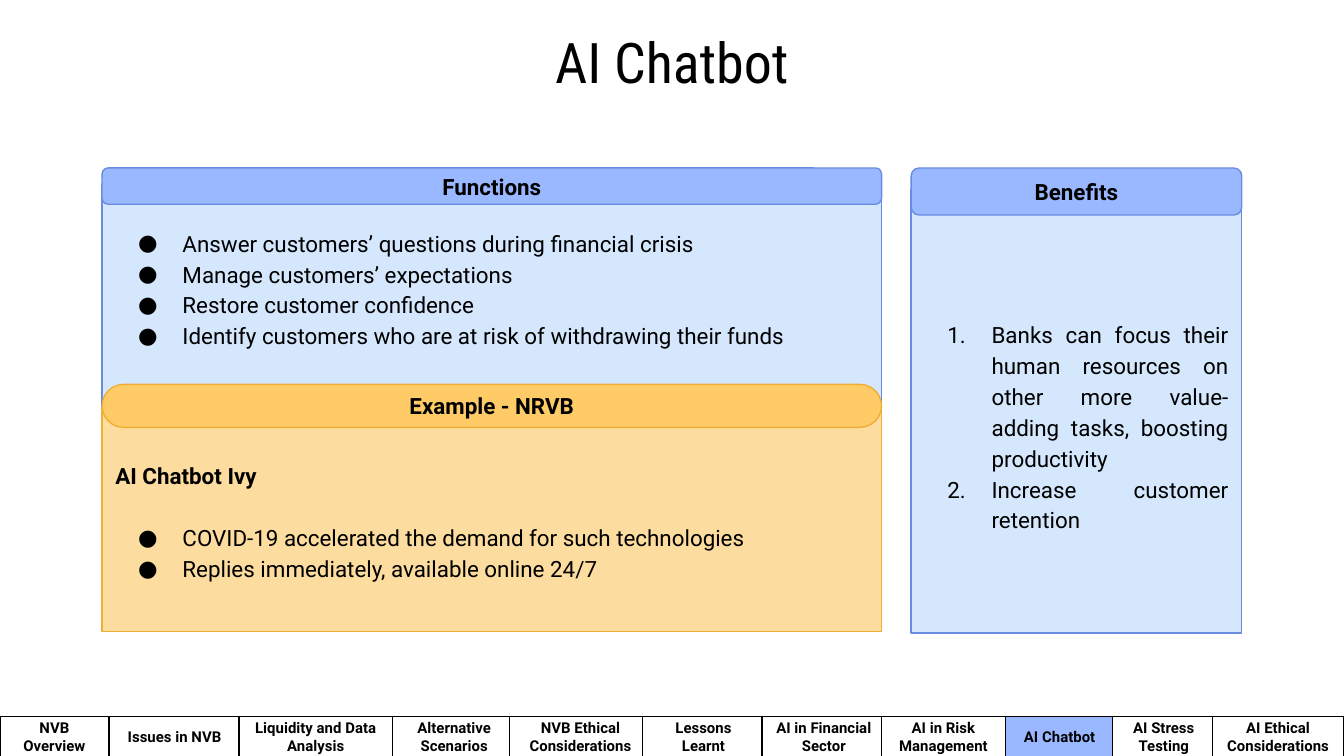
import pptx
import pptx.dml.color
import pptx.enum.shapes
import pptx.enum.text
import pptx.oxml.ns
import pptx.util
from lxml import etree

Inches = pptx.util.Inches
RGBColor = pptx.dml.color.RGBColor
Align = pptx.enum.text.PP_ALIGN
Anchor = pptx.enum.text.MSO_ANCHOR
Shape = pptx.enum.shapes.MSO_SHAPE

BLACK = RGBColor(0x00, 0x00, 0x00)
WHITE = RGBColor(0xFF, 0xFF, 0xFF)
BLUE = RGBColor(0x9A, 0xB8, 0xFF)
PALE_BLUE = RGBColor(0xD5, 0xE7, 0xFD)
BLUE_LINE = RGBColor(0x69, 0x8C, 0xE0)
AMBER = RGBColor(0xFF, 0xCB, 0x67)
PALE_AMBER = RGBColor(0xFC, 0xDC, 0x9F)
AMBER_LINE = RGBColor(0xEF, 0xAF, 0x34)

TITLE = "AI Chatbot"
FUNCTIONS = [
    "Answer customers’ questions during financial crisis",
    "Manage customers’ expectations",
    "Restore customer confidence",
    "Identify customers who are at risk of withdrawing their funds",
]
BENEFITS = [
    "Banks can focus their human resources on other more value-adding tasks, "
    "boosting productivity",
    "Increase customer retention",
]
EXAMPLE_HEADING = "AI Chatbot Ivy"
EXAMPLE = [
    "COVID-19 accelerated the demand for such technologies",
    "Replies immediately, available online 24/7",
]
TABS = [
    ("NVB Overview", 0, 0.81),
    ("Issues in NVB", 0.81, 0.98),
    ("Liquidity and Data Analysis", 1.78, 1.14),
    ("Alternative Scenarios", 2.92, 0.92),
    ("NVB Ethical Considerations", 3.79, 1.06),
    ("Lessons Learnt", 4.78, 0.91),
    ("AI in Financial Sector", 5.67, 0.92),
    ("AI in Risk Management", 6.56, 0.92),
    ("AI Chatbot", 7.48, 0.81),
    ("AI Stress Testing", 8.28, 0.76),
    ("AI Ethical Considerations", 9.02, 0.98),
]
TAB_TOP, TAB_HEIGHT = 5.33, 0.3
LEFT_COLUMN = (0.76, 5.8)
RIGHT_COLUMN = (6.78, 2.46)
HEADER_TOP = 1.25
INSET = 0.1
LIST_TOP_INSET = 0.31
HEADING_GAP = 0.23
BULLET = ("buChar", "char", "●")
NUMBER = ("buAutoNum", "type", "arabicPeriod")


def set_frame(frame, anchor=Anchor.MIDDLE, top_inset=INSET):
    frame.word_wrap = True
    frame.auto_size = pptx.enum.text.MSO_AUTO_SIZE.NONE
    frame.vertical_anchor = anchor
    frame.margin_left = frame.margin_right = frame.margin_bottom = Inches(INSET)
    frame.margin_top = Inches(top_inset)


def format_paragraph(paragraph, size, bold=False, align=Align.CENTER, font="Roboto"):
    paragraph.alignment = align
    for run in paragraph.runs:
        run.font.name = font
        run.font.size = pptx.util.Pt(size)
        run.font.bold = bold
        run.font.color.rgb = BLACK


def add_box(slide, kind, column, top, height, fill, line, adjustment=None):
    left, width = column
    shape = slide.shapes.add_shape(
        kind, Inches(left), Inches(top), Inches(width), Inches(height))
    shape.shadow.inherit = False
    if adjustment is not None:
        shape.adjustments[0] = adjustment
    shape.fill.solid()
    shape.fill.fore_color.rgb = fill
    shape.line.color.rgb = line
    shape.line.width = pptx.util.Pt(0.75)
    set_frame(shape.text_frame)
    return shape


def add_label(slide, text, size, *box):
    shape = add_box(slide, *box)
    shape.text_frame.text = text
    format_paragraph(shape.text_frame.paragraphs[0], size, bold=True)


def add_property(parent, tag, attribute=None, value=None):
    element = etree.SubElement(parent, pptx.oxml.ns.qn("a:" + tag))
    if attribute:
        element.set(attribute, value)
    return element


def format_list(paragraphs, marker):
    for paragraph in paragraphs:
        properties = paragraph._p.get_or_add_pPr()
        properties.set("marL", str(Inches(0.5)))
        properties.set("indent", str(Inches(-0.33)))
        add_property(add_property(properties, "buClr"), "srgbClr", "val", str(BLACK))
        add_property(properties, "buSzPts", "val", "1200")
        add_property(properties, "buFont", "typeface", "Roboto")
        add_property(properties, *marker)
        paragraph.line_spacing = 1.15
        format_paragraph(paragraph, 12, align=Align.JUSTIFY)


def build_slide(slide):
    for text, left, width in TABS:
        fill = BLUE if text == TITLE else WHITE
        add_label(slide, text, 8, Shape.RECTANGLE, (left, width),
                  TAB_TOP, TAB_HEIGHT, fill, BLACK)

    title = slide.shapes.title
    title.left, title.top = Inches(0.5), Inches(0.28)
    title.width, title.height = Inches(9), Inches(0.35)
    set_frame(title.text_frame)
    title.text_frame.text = TITLE
    format_paragraph(title.text_frame.paragraphs[0], 30, font="Roboto Condensed")

    benefits = add_box(slide, Shape.RECTANGLE, RIGHT_COLUMN, 1.41, 3.3,
                       PALE_BLUE, BLUE_LINE).text_frame
    set_frame(benefits, top_inset=LIST_TOP_INSET)
    benefits.text = "\n".join(BENEFITS)
    format_list(benefits.paragraphs, NUMBER)

    functions = add_box(slide, Shape.RECTANGLE, LEFT_COLUMN, 1.37, 1.66,
                        PALE_BLUE, BLUE_LINE).text_frame
    set_frame(functions, Anchor.TOP, LIST_TOP_INSET)
    functions.text = "\n".join(FUNCTIONS)
    format_list(functions.paragraphs, BULLET)
    add_label(slide, "Functions", 12, Shape.ROUNDED_RECTANGLE, LEFT_COLUMN,
              HEADER_TOP, 0.27, BLUE, BLUE_LINE, 0.167)

    example = add_box(slide, Shape.ROUNDED_RECTANGLE, LEFT_COLUMN, 3.04, 1.66,
                      PALE_AMBER, AMBER_LINE, 0).text_frame
    example.text = "\n".join([EXAMPLE_HEADING] + EXAMPLE)
    heading, *items = example.paragraphs
    heading.line_spacing = 1.15
    format_paragraph(heading, 12, bold=True, align=Align.JUSTIFY)
    format_list(items, BULLET)
    items[0].space_before = Inches(HEADING_GAP)
    add_label(slide, "Example - NRVB", 12, Shape.ROUNDED_RECTANGLE, LEFT_COLUMN,
              2.86, 0.32, AMBER, AMBER_LINE, 0.5)
    add_label(slide, "Benefits", 12, Shape.ROUNDED_RECTANGLE, RIGHT_COLUMN,
              HEADER_TOP, 0.35, BLUE, BLUE_LINE, 0.167)


def main():
    presentation = pptx.Presentation()
    presentation.slide_width = Inches(10)
    presentation.slide_height = presentation.slide_width * 9 // 16
    build_slide(presentation.slides.add_slide(presentation.slide_layouts[5]))
    presentation.save("out.pptx")


if __name__ == "__main__":
    main()
